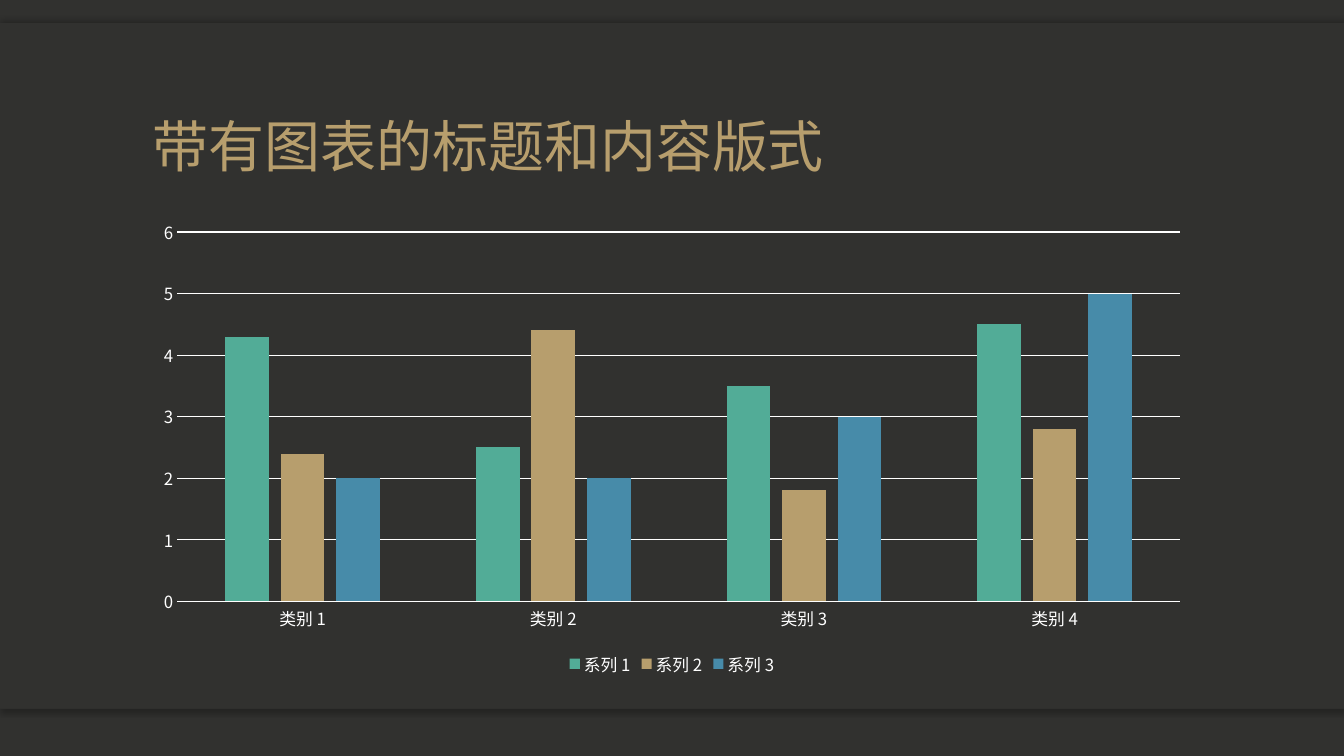
"""Build a dark slide with a title and a clustered column chart."""
from dataclasses import dataclass

from lxml import etree
from pptx import Presentation
from pptx.chart.chart import Chart
from pptx.chart.data import CategoryChartData
from pptx.dml.color import RGBColor
from pptx.enum.chart import XL_CHART_TYPE, XL_LEGEND_POSITION, XL_TICK_MARK
from pptx.enum.shapes import MSO_SHAPE
from pptx.enum.text import MSO_ANCHOR
from pptx.oxml.ns import qn
from pptx.slide import Slide
from pptx.text.text import Font
from pptx.util import Pt

PX = 9525
SLIDE_WIDTH, SLIDE_HEIGHT = 1280, 720
FONT = "Noto Sans CJK SC"
CHARCOAL = RGBColor(0x31, 0x31, 0x2F)
WHITE = RGBColor(0xFF, 0xFF, 0xFF)
GREEN = RGBColor(0x52, 0xAC, 0x97)
GOLD = RGBColor(0xB7, 0x9E, 0x6D)
BLUE = RGBColor(0x47, 0x8B, 0xA9)
RECTANGLE = MSO_SHAPE.RECTANGLE
COLUMNS = XL_CHART_TYPE.COLUMN_CLUSTERED
LEGEND_BOTTOM = XL_LEGEND_POSITION.BOTTOM
NO_TICK = XL_TICK_MARK.NONE
ANCHOR_BOTTOM = MSO_ANCHOR.BOTTOM


@dataclass(frozen=True)
class Box:
    left: int
    top: int
    width: int
    height: int

    def emu(self) -> tuple[int, int, int, int]:
        return self.left * PX, self.top * PX, self.width * PX, self.height * PX


@dataclass(frozen=True)
class Panel:
    box: Box
    shadow_degrees: int | None = None


@dataclass(frozen=True)
class Series:
    name: str
    values: tuple[float, ...]
    color: RGBColor


PANELS = (
    Panel(Box(0, 628, SLIDE_WIDTH, 47), 90),
    Panel(Box(0, 22, SLIDE_WIDTH, 47), 270),
    Panel(Box(0, 22, SLIDE_WIDTH, 653)),
)
TITLE = "带有图表的标题和内容版式"
TITLE_BOX = Box(136, 44, 1008, 132)
CHART_BOX = Box(136, 200, 1008, 448)
CATEGORIES = ("类别 1", "类别 2", "类别 3", "类别 4")
SERIES = (
    Series("系列 1", (4.3, 2.5, 3.5, 4.5), GREEN),
    Series("系列 2", (2.4, 4.4, 1.8, 2.8), GOLD),
    Series("系列 3", (2, 2, 3, 5), BLUE),
)


def style_font(font: Font, size: int, color: RGBColor) -> None:
    font.name = FONT
    font.size = Pt(size)
    font.color.rgb = color


def add_east_asian_fonts(root: etree.ElementBase) -> None:
    for latin in list(root.iter(qn("a:latin"))):
        east_asian = etree.Element(qn("a:ea"), typeface=FONT)
        latin.addnext(east_asian)


def add_panel(slide: Slide, panel: Panel) -> None:
    shape = slide.shapes.add_shape(RECTANGLE, *panel.box.emu())
    shape.fill.solid()
    shape.fill.fore_color.rgb = CHARCOAL
    shape.line.fill.background()
    shape.shadow.inherit = False
    if panel.shadow_degrees is not None:
        effects = shape.element.spPr.find(qn("a:effectLst"))
        shadow = etree.SubElement(
            effects, qn("a:outerShdw"), blurRad=str(Pt(4)), dist=str(Pt(2)),
            dir=str(panel.shadow_degrees * 60000), algn="ctr", rotWithShape="0")
        black = etree.SubElement(shadow, qn("a:srgbClr"), val="000000")
        etree.SubElement(black, qn("a:alpha"), val="25000")


def add_title(slide: Slide) -> None:
    frame = slide.shapes.add_textbox(*TITLE_BOX.emu()).text_frame
    frame.word_wrap = True
    frame.vertical_anchor = ANCHOR_BOTTOM
    paragraph = frame.paragraphs[0]
    paragraph.line_spacing = 0.9
    run = paragraph.add_run()
    run.text = TITLE
    style_font(run.font, 40, GOLD)


def style_axes(chart: Chart) -> None:
    category_axis, value_axis = chart.category_axis, chart.value_axis
    for axis in (category_axis, value_axis):
        axis.major_tick_mark = axis.minor_tick_mark = NO_TICK
        style_font(axis.tick_labels.font, 12, WHITE)
    value_axis.minimum_scale, value_axis.maximum_scale = 0, 6
    value_axis.major_unit = 1
    value_axis.has_major_gridlines = True
    value_axis.format.line.fill.background()
    for line in (category_axis.format.line, value_axis.major_gridlines.format.line):
        line.color.rgb = WHITE
        line.width = Pt(0.75)


def add_column_chart(slide: Slide) -> None:
    data = CategoryChartData()
    data.categories = CATEGORIES
    for series in SERIES:
        data.add_series(series.name, series.values)
    chart = slide.shapes.add_chart(COLUMNS, *CHART_BOX.emu(), data).chart
    chart.has_title = False
    style_font(chart.font, 10, WHITE)
    style_axes(chart)
    chart.has_legend = True
    chart.legend.position = LEGEND_BOTTOM
    chart.legend.include_in_layout = False
    style_font(chart.legend.font, 12, WHITE)
    plot = chart.plots[0]
    plot.gap_width, plot.overlap = 219, -27
    plot.vary_by_categories = False
    for columns, series in zip(plot.series, SERIES):
        columns.format.fill.solid()
        columns.format.fill.fore_color.rgb = series.color
    add_east_asian_fonts(chart.element)


def main() -> None:
    presentation = Presentation()
    presentation.slide_width = SLIDE_WIDTH * PX
    presentation.slide_height = SLIDE_HEIGHT * PX
    slide = presentation.slides.add_slide(presentation.slide_layouts[6])
    slide.background.fill.solid()
    slide.background.fill.fore_color.rgb = CHARCOAL
    for panel in PANELS:
        add_panel(slide, panel)
    add_title(slide)
    add_column_chart(slide)
    add_east_asian_fonts(slide.element)
    presentation.save("out.pptx")


if __name__ == "__main__":
    main()
